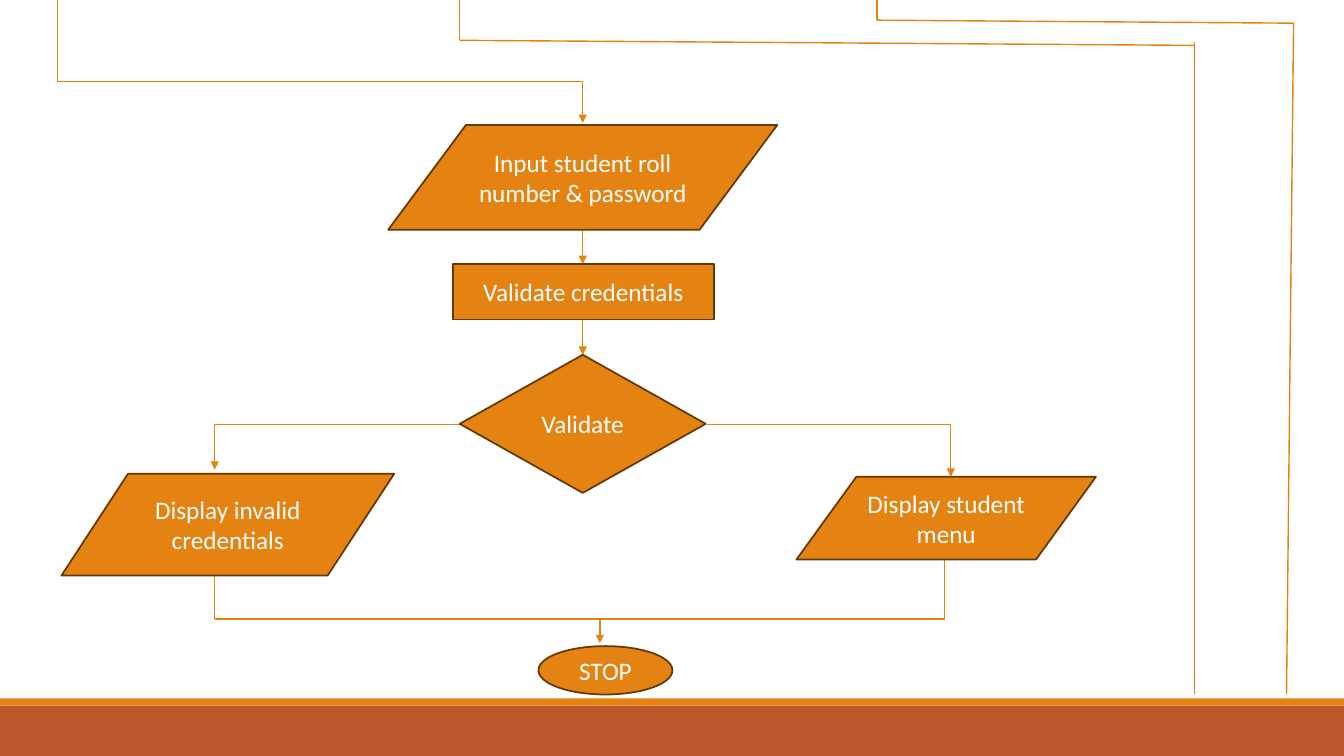
import itertools
import pptx
import pptx.util
import pptx.dml.color
import pptx.enum.shapes
import pptx.enum.text
import pptx.oxml
import pptx.oxml.ns

Inches = pptx.util.Inches
Pt = pptx.util.Pt
Kind = pptx.enum.shapes.MSO_SHAPE
ORANGE, RUST, BROWN, WHITE = "E48312", "BD582C", "643908", "FFFFFF"


def color(code):
    return pptx.dml.color.RGBColor.from_string(code)


def block(kind, box, fill):
    """Add a filled shape without shadow or outline."""
    shape = slide.shapes.add_shape(kind, *[Inches(v) for v in box])
    shape.shadow.inherit = False
    shape.fill.solid()
    shape.fill.fore_color.rgb = color(fill)
    shape.line.fill.background()
    return shape


deck = pptx.Presentation()
deck.slide_width = Inches(13.33)
deck.slide_height = Inches(7.5)
slide = deck.slides.add_slide(deck.slide_layouts[6])

# Footer bands
block(Kind.RECTANGLE, (0, 7, 13.33, 0.5), RUST)
block(Kind.RECTANGLE, (0, 6.93, 13.33, 0.07), ORANGE)

# Flow lines: corner points, and whether the last leg ends in an arrowhead
mid, left, right, out = 5.78, 2.13, 9.43, 9.37
routes = [
    ([(0.57, 0), (0.57, 0.81), (mid, 0.81), (mid, 1.22)], True),
    ([(mid, 2.28), (mid, 2.62)], True),
    ([(mid, 3.17), (mid, 3.52)], True),
    ([(7.01, 4.21), (right, 4.21), (right, 4.73)], True),
    ([(4.56, 4.21), (left, 4.21), (left, 4.66)], True),
    ([(left, 5.71), (left, 6.14), (out, 6.14), (out, 5.55)], False),
    ([(5.95, 6.14), (5.95, 6.38)], True),
    ([(4.56, 0), (4.56, 0.4), (11.85, 0.45)], False),
    ([(11.85, 0.42), (11.85, 6.89)], False),
    ([(8.7, 0), (8.7, 0.2), (12.83, 0.23), (12.76, 6.89)], False),
]
for points, arrow in routes:
    for start, end in itertools.pairwise(points):
        leg = slide.shapes.add_connector(
            pptx.enum.shapes.MSO_CONNECTOR.STRAIGHT,
            *[Inches(v) for v in start + end])
        leg.line.color.rgb = color(ORANGE)
        leg.line.width = Pt(1)
        props = leg._element.spPr
        props.append(pptx.oxml.parse_xml(
            f"<a:effectLst {pptx.oxml.ns.nsdecls('a')}/>"))
    if arrow:
        leg.line._get_or_add_ln().append(pptx.oxml.parse_xml(
            f"<a:tailEnd {pptx.oxml.ns.nsdecls('a')} type='triangle'/>"))

# Flowchart steps
steps = [
    (Kind.FLOWCHART_DATA, (3.85, 1.24, 3.86, 1.04),
     "Input student roll number & password"),
    (Kind.RECTANGLE, (4.49, 2.62, 2.59, 0.55), "Validate credentials"),
    (Kind.FLOWCHART_DECISION, (4.56, 3.52, 2.44, 1.37), "Validate"),
    (Kind.FLOWCHART_DATA, (0.61, 4.7, 3.3, 1.01),
     "Display invalid credentials"),
    (Kind.FLOWCHART_DATA, (7.9, 4.73, 2.97, 0.82), "Display student menu"),
    (Kind.OVAL, (5.34, 6.41, 1.33, 0.48), "STOP"),
]
for kind, box, label in steps:
    step = block(kind, box, ORANGE)
    step.line.color.rgb = color(BROWN)
    step.line.width = Pt(1.25)
    frame = step.text_frame
    frame.text = label
    frame.word_wrap = True
    frame.vertical_anchor = pptx.enum.text.MSO_ANCHOR.MIDDLE
    para = frame.paragraphs[0]
    para.alignment = pptx.enum.text.PP_ALIGN.CENTER
    font = para.runs[0].font
    font.name = "Calibri"
    font.size = Pt(18)
    font.color.rgb = color(WHITE)

deck.save("out.pptx")
